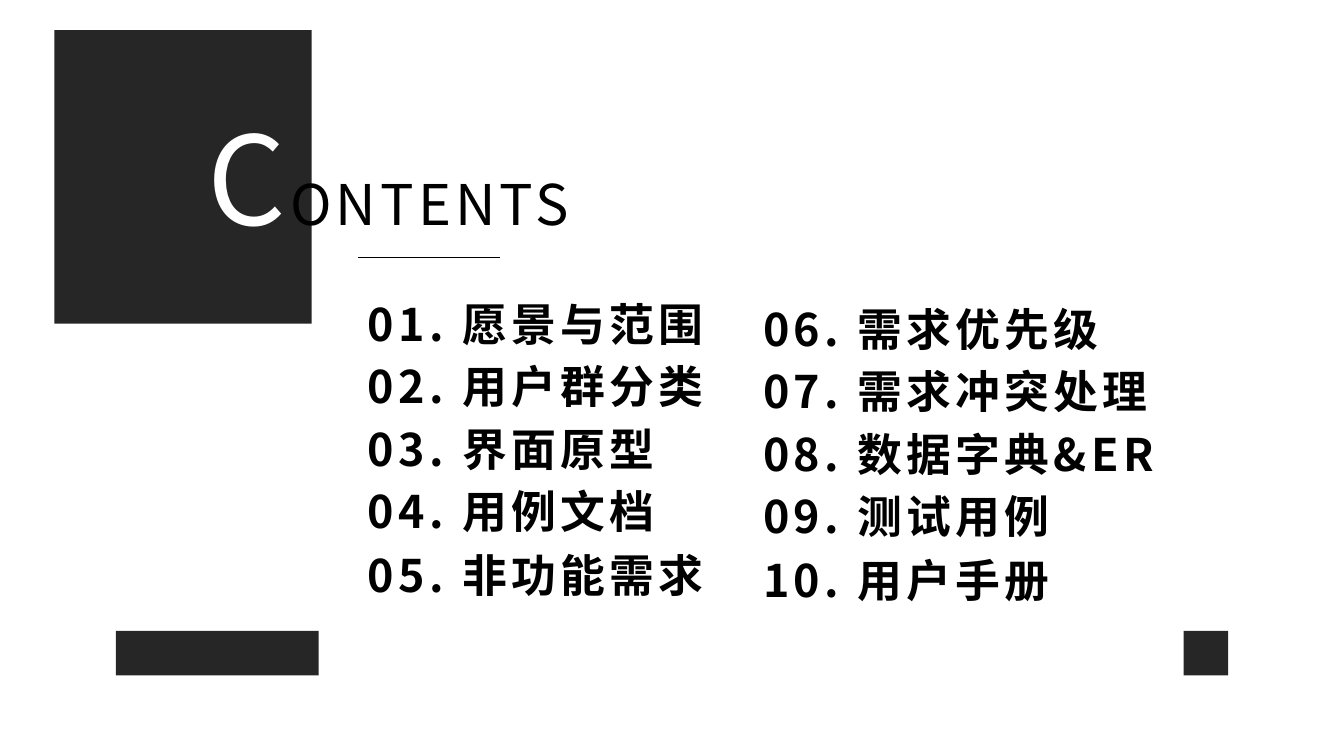
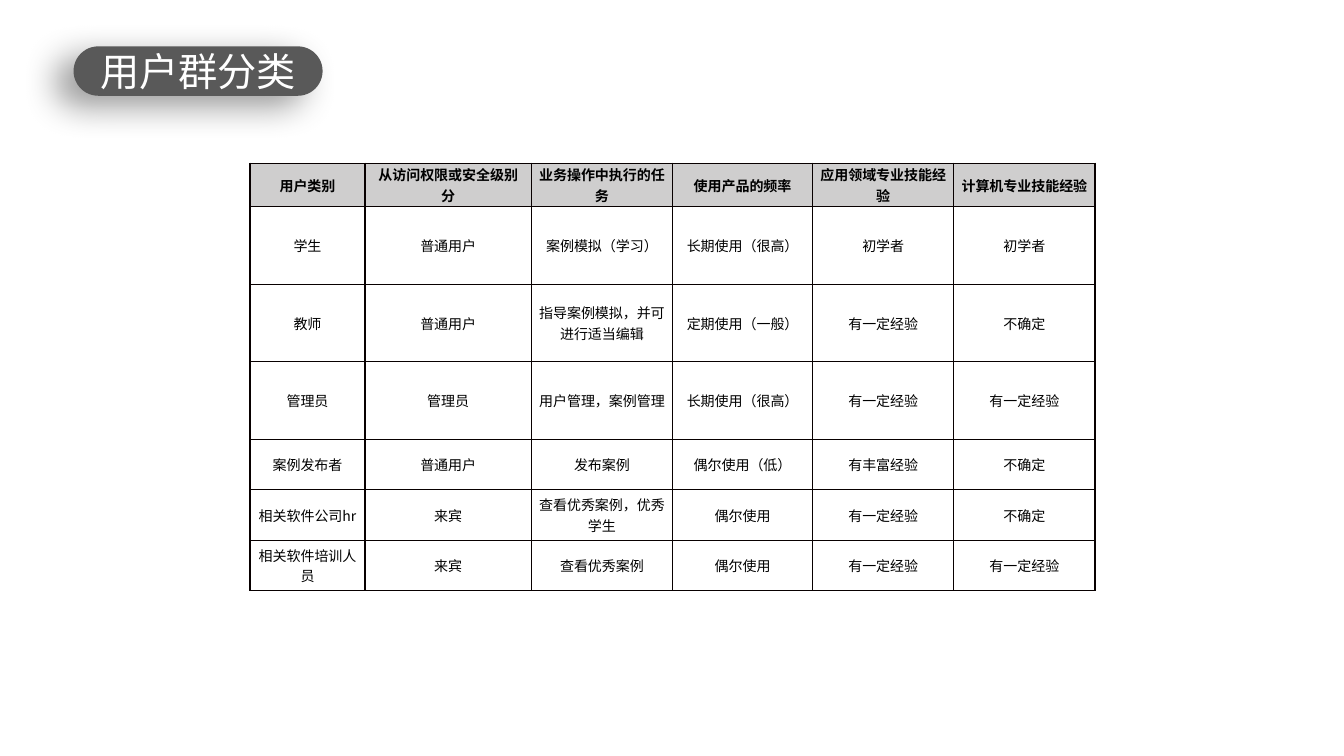
from lxml import etree
from pptx import Presentation
from pptx.dml.color import RGBColor
from pptx.enum.shapes import MSO_CONNECTOR as Connector, MSO_SHAPE as Shape
from pptx.enum.text import MSO_ANCHOR as Anchor, MSO_AUTO_SIZE as AutoSize, PP_ALIGN as Align
from pptx.oxml.ns import qn
from pptx.util import Emu, Pt

# Shared style
PX = 9144  # 100 px to the inch
BLACK, WHITE, DARK, PILL = "000000", "FFFFFF", "262626", "595959"
HEADER_FILL, BORDER = "CFCECE", "080000"
SANS, SERIF, TITLE_FONT = "Noto Sans CJK SC", "Times New Roman", "Calibri"

# Contents slide
CONTENTS_COLUMNS = [
    (355, 289, ["01. 愿景与范围", "02. 用户群分类", "03. 界面原型", "04. 用例文档", "05. 非功能需求"]),
    (747, 294, ["06. 需求优先级", "07. 需求冲突处理", "08. 数据字典&ER", "09. 测试用例", "10. 用户手册"]),
]
ITEM_WIDTH, ITEM_HEIGHT, ITEM_PITCH = 586, 64, 62.25
DARK_BLOCKS = [(1174, 626, 44, 44), (115, 626, 201, 44), (54, 30, 255, 291)]

# User group slide: a tuple holds a serif part and a sans part
TITLE = "用户群分类"
USER_GROUPS = [
    ["用户类别", "从访问权限或安全级别分", "业务操作中执行的任务", "使用产品的频率",
     "应用领域专业技能经验", "计算机专业技能经验"],
    ["学生", "普通用户", "案例模拟（学习）", "长期使用（很高）", "初学者", "初学者"],
    ["教师", "普通用户", ("指导案例模拟", "，并可进行适当编辑"), "定期使用（一般）", "有一定经验", "不确定"],
    ["管理员", "管理员", "用户管理，案例管理", "长期使用（很高）", "有一定经验", "有一定经验"],
    [("案例", "发布者"), "普通用户", "发布案例", "偶尔使用（低）", "有丰富经验", "不确定"],
    ["相关软件公司hr", "来宾", "查看优秀案例，优秀学生", "偶尔使用", "有一定经验", "不确定"],
    ["相关软件培训人员", "来宾", "查看优秀案例", "偶尔使用", "有一定经验", "有一定经验"],
]
COLUMN_WIDTHS = [114, 165, 140, 139, 140, 140]
ROW_HEIGHTS = [43, 77, 77, 77, 50, 50, 50]
FIRST_SANS_ROW = 5


def px(*lengths):
    return [Emu(round(length * PX)) for length in lengths]


def color(value):
    return RGBColor.from_string(value)


def add_run(paragraph, text, size, font=SANS, ink=BLACK, bold=False, spacing=0):
    run = paragraph.add_run()
    run.text = text
    run.font.size, run.font.bold, run.font.name = Pt(size), bold, font
    run.font.color.rgb = color(ink)
    properties = run.font._element
    if spacing:
        properties.set("spc", str(spacing * 100))
    east_asian = etree.Element(qn("a:ea"), typeface=SANS)
    properties.find(qn("a:latin")).addnext(east_asian)


def add_text_box(slide, box):
    text_frame = slide.shapes.add_textbox(*px(*box)).text_frame
    text_frame.word_wrap = True
    text_frame.auto_size = AutoSize.SHAPE_TO_FIT_TEXT
    return text_frame.paragraphs[0]


def add_block(slide, kind, box, fill):
    shape = slide.shapes.add_shape(kind, *px(*box))
    shape.shadow.inherit = False
    shape.fill.solid()
    shape.fill.fore_color.rgb = color(fill)
    shape.line.fill.background()
    return shape


def add_solid_fill(parent, value, alpha=None):
    fill = etree.SubElement(parent, qn("a:solidFill"))
    add_color(fill, value, alpha)


def add_color(parent, value, alpha=None):
    element = etree.SubElement(parent, qn("a:srgbClr"), val=value)
    if alpha is not None:
        etree.SubElement(element, qn("a:alpha"), val=str(alpha * 1000))


def add_soft_shadow(shape, alpha, blur, distance, direction):
    effects = shape._element.spPr.find(qn("a:effectLst"))
    shadow = etree.SubElement(
        effects, qn("a:outerShdw"), blurRad=str(Pt(blur)), dist=str(Pt(distance)),
        dir=str(direction * 60000), algn="ctr", rotWithShape="0")
    add_color(shadow, BLACK, alpha)


def add_borders(cell):
    properties = cell._tc.get_or_add_tcPr()
    for index, side in enumerate(("lnL", "lnR", "lnT", "lnB")):
        line = etree.Element(qn("a:" + side), w=str(Pt(1)))
        add_solid_fill(line, BORDER)
        properties.insert(index, line)


def build_contents(slide):
    for box in DARK_BLOCKS:
        add_block(slide, Shape.RECTANGLE, box, DARK)

    # Heading and rule
    heading = add_text_box(slide, (196, 97, 430, 158))
    heading.alignment = Align.JUSTIFY
    add_run(heading, "C", 88, ink=WHITE, spacing=3)
    add_run(heading, "ONTENTS", 40, spacing=3)
    rule = slide.shapes.add_connector(Connector.STRAIGHT, *px(355, 255, 496, 255))
    rule.line.color.rgb = color(BLACK)
    rule.line.width = Pt(0.5)
    etree.SubElement(rule._element.spPr, qn("a:effectLst"))

    # Two columns of chapters
    for left, top, items in CONTENTS_COLUMNS:
        for index, item in enumerate(items):
            box = (left, top + int(index * ITEM_PITCH), ITEM_WIDTH, ITEM_HEIGHT)
            add_run(add_text_box(slide, box), item, 32, bold=True, spacing=3)


def fill_cell(cell, content, is_header, font):
    cell.margin_left, cell.margin_right, cell.margin_top, cell.margin_bottom = px(7, 7, 0, 0)
    cell.vertical_anchor = Anchor.MIDDLE
    if is_header:
        cell.fill.solid()
        cell.fill.fore_color.rgb = color(HEADER_FILL)
    else:
        cell.fill.background()
    add_borders(cell)
    paragraph = cell.text_frame.paragraphs[0]
    paragraph.alignment = Align.CENTER
    parts = zip(content, (SERIF, SANS)) if isinstance(content, tuple) else [(content, font)]
    for text, part_font in parts:
        add_run(paragraph, text, 10, part_font, bold=is_header)


def build_user_groups(slide):
    # Title pill
    pill = add_block(slide, Shape.ROUNDED_RECTANGLE, (73, 46, 247, 49), PILL)
    pill.adjustments[0] = 0.5
    add_soft_shadow(pill, alpha=40, blur=25, distance=15, direction=150)
    pill.text_frame.vertical_anchor = Anchor.MIDDLE
    title = pill.text_frame.paragraphs[0]
    title.alignment = Align.CENTER
    add_run(title, TITLE, 28, TITLE_FONT, WHITE)

    # Table
    box = px(248, 162, sum(COLUMN_WIDTHS), sum(ROW_HEIGHTS))
    table = slide.shapes.add_table(len(ROW_HEIGHTS), len(COLUMN_WIDTHS), *box).table
    table.first_row = table.horz_banding = False
    for column, width in zip(table.columns, px(*COLUMN_WIDTHS)):
        column.width = width
    for row, height in zip(table.rows, px(*ROW_HEIGHTS)):
        row.height = height
    for row_index, contents in enumerate(USER_GROUPS):
        font = SANS if row_index >= FIRST_SANS_ROW else SERIF
        for column_index, content in enumerate(contents):
            fill_cell(table.cell(row_index, column_index), content, row_index == 0, font)


def main():
    presentation = Presentation()
    presentation.slide_width, presentation.slide_height = px(1333, 750)
    for build in (build_contents, build_user_groups):
        build(presentation.slides.add_slide(presentation.slide_layouts[6]))
    presentation.save("out.pptx")


if __name__ == "__main__":
    main()
